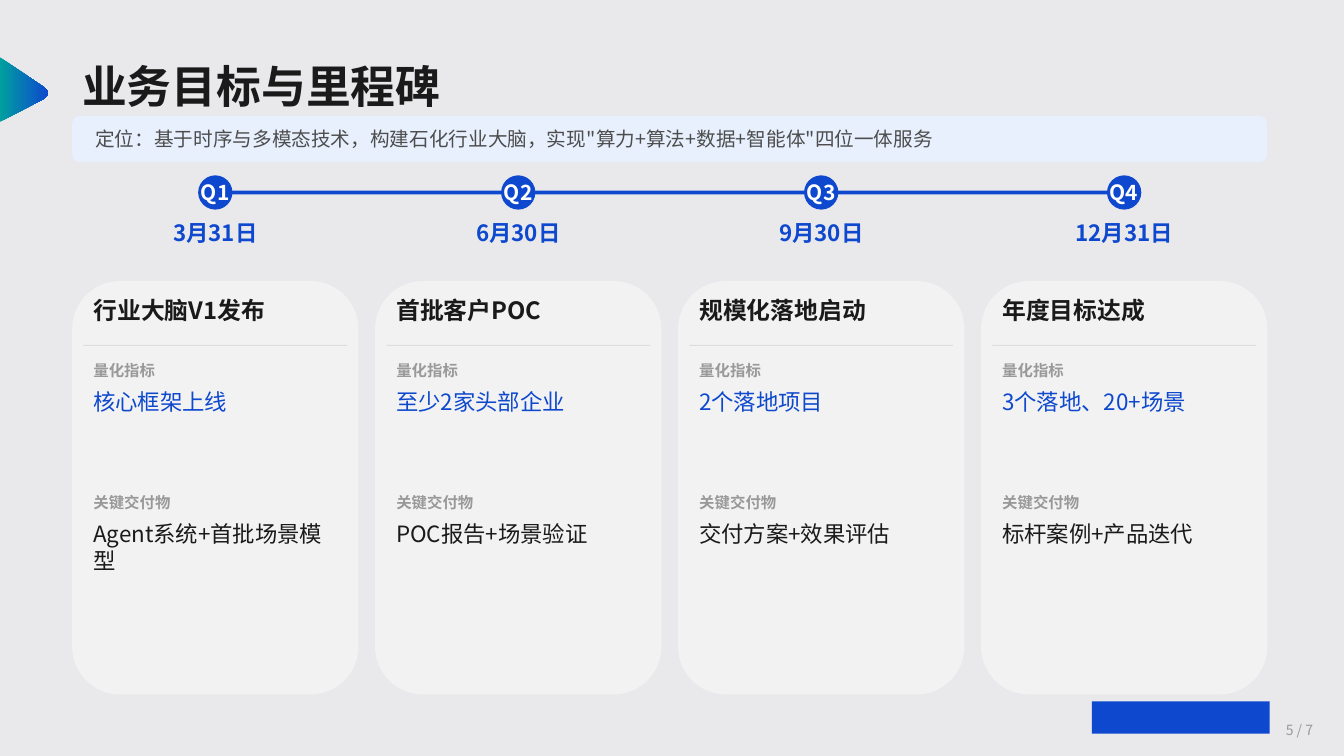
from pptx import Presentation
from pptx.dml.color import RGBColor
from pptx.enum.shapes import MSO_SHAPE
from pptx.enum.text import MSO_ANCHOR, MSO_AUTO_SIZE, PP_ALIGN
from pptx.oxml.ns import qn
from pptx.util import Pt
from lxml import etree

RECT, ROUND_RECT, OVAL = MSO_SHAPE.RECTANGLE, MSO_SHAPE.ROUNDED_RECTANGLE, MSO_SHAPE.OVAL
LEFT, CENTER, RIGHT = PP_ALIGN.LEFT, PP_ALIGN.CENTER, PP_ALIGN.RIGHT
TOP, MIDDLE = MSO_ANCHOR.TOP, MSO_ANCHOR.MIDDLE
GROW = MSO_AUTO_SIZE.SHAPE_TO_FIT_TEXT

BACKGROUND = RGBColor(0xE9, 0xE9, 0xEC)
BLUE = RGBColor(0x0D, 0x48, 0xCE)
TEAL = RGBColor(0x00, 0xA0, 0xA0)
PALE_BLUE = RGBColor(0xE8, 0xF0, 0xFE)
CARD_GRAY = RGBColor(0xF2, 0xF2, 0xF2)
DIVIDER_GRAY = RGBColor(0xDD, 0xDD, 0xDD)
LABEL_GRAY = RGBColor(0x99, 0x99, 0x99)
BODY_GRAY = RGBColor(0x4D, 0x4D, 0x4D)
INK = RGBColor(0x1A, 0x1A, 0x1A)
WHITE = RGBColor(0xFF, 0xFF, 0xFF)
FONT = "Noto Sans CJK SC"

# Column grid, in points
MARGIN = 51.6
CARD_WIDTH = 204.4
CARD_GAP = 12
CARD_INSET = 8
TIMELINE_Y = 137.5
DOT_SIZE = 24.5

MILESTONES = [
    ("Q1", "3月31日", "行业大脑V1发布", "核心框架上线", "Agent系统+首批场景模型"),
    ("Q2", "6月30日", "首批客户POC", "至少2家头部企业", "POC报告+场景验证"),
    ("Q3", "9月30日", "规模化落地启动", "2个落地项目", "交付方案+效果评估"),
    ("Q4", "12月31日", "年度目标达成", "3个落地、20+场景", "标杆案例+产品迭代"),
]


def style_paragraph(paragraph, text, size, color, bold=False, align=LEFT):
    paragraph.text = text
    paragraph.alignment = align
    font = paragraph.font
    font.size, font.bold, font.name = Pt(size), bold, FONT
    font.color.rgb = color
    # Chinese glyphs take their font from the East Asian slot
    defaults = paragraph._p.pPr.find(qn("a:defRPr"))
    etree.SubElement(defaults, qn("a:ea")).set("typeface", FONT)


def add_block(slide, kind, left, top, width, height, color):
    block = slide.shapes.add_shape(kind, Pt(left), Pt(top), Pt(width), Pt(height))
    block.shadow.inherit = False
    block.fill.solid()
    block.fill.fore_color.rgb = color
    block.line.fill.background()
    return block


def add_text(slide, left, top, width, height, text, size, color,
             bold=False, align=LEFT, anchor=TOP, wrap=True):
    box = slide.shapes.add_textbox(Pt(left), Pt(top), Pt(width), Pt(height))
    frame = box.text_frame
    frame.word_wrap, frame.auto_size, frame.vertical_anchor = wrap, GROW, anchor
    style_paragraph(frame.paragraphs[0], text, size, color, bold, align)
    return frame


def add_labelled_text(slide, left, top, width, height, label, text, color):
    frame = add_text(slide, left, top, width, height, label, 11, LABEL_GRAY, bold=True)
    detail = frame.add_paragraph()
    style_paragraph(detail, text, 16, color)
    detail.space_before = Pt(6)


def add_title_marker(slide):
    tip = [(31, 62), (33.5, 64.2), (34.4, 66.3), (33.5, 68.6), (31, 70.8)]
    outline = slide.shapes.build_freeform(Pt(0), Pt(41))
    outline.add_line_segments([(Pt(x), Pt(y)) for x, y in tip + [(0, 87)]])
    marker = outline.convert_to_shape()
    marker.shadow.inherit = False
    marker.line.fill.background()
    marker.fill.gradient()
    marker.fill.gradient_angle = 0
    for stop, color in zip(marker.fill.gradient_stops, (TEAL, BLUE)):
        stop.color.rgb = color


def add_quarter_dot(slide, center, quarter):
    dot = add_block(slide, OVAL, center - DOT_SIZE / 2, TIMELINE_Y - DOT_SIZE / 2,
                    DOT_SIZE, DOT_SIZE, BLUE)
    frame = dot.text_frame
    frame.margin_left = frame.margin_right = frame.margin_top = frame.margin_bottom = 0
    frame.word_wrap, frame.vertical_anchor = False, MIDDLE
    style_paragraph(frame.paragraphs[0], quarter, 15, WHITE, True, CENTER)


def add_milestone(slide, left, quarter, date, goal, metric, deliverable):
    add_quarter_dot(slide, left + CARD_WIDTH / 2, quarter)
    add_text(slide, left, 152.8, CARD_WIDTH, 22.5, date, 16, BLUE, True, CENTER)

    # Card with goal, metric and deliverable
    add_block(slide, ROUND_RECT, left, 200.8, CARD_WIDTH, 295.2, CARD_GRAY)
    inner_left, inner_width = left + CARD_INSET, CARD_WIDTH - 2 * CARD_INSET
    add_text(slide, inner_left, 207.4, inner_width, 35, goal, 17, INK, bold=True)
    add_block(slide, RECT, inner_left, 246.4, inner_width, 0.75, DIVIDER_GRAY)
    add_labelled_text(slide, inner_left, 254.2, inner_width, 55.5, "量化指标", metric, BLUE)
    add_labelled_text(slide, inner_left, 348.5, inner_width, 70.5, "关键交付物", deliverable, INK)


def main():
    deck = Presentation()
    deck.slide_width, deck.slide_height = Pt(960), Pt(540)
    slide = deck.slides.add_slide(deck.slide_layouts[6])
    slide.background.fill.solid()
    slide.background.fill.fore_color.rgb = BACKGROUND

    # Brand placeholder and title
    add_block(slide, RECT, 780, 501, 127, 23, BLUE)
    add_title_marker(slide)
    add_text(slide, MARGIN, 38.2, 440, 46, "业务目标与里程碑", 32, INK, bold=True)

    # Positioning strip
    pitch = CARD_WIDTH + CARD_GAP
    strip_width = 3 * pitch + CARD_WIDTH
    add_block(slide, ROUND_RECT, MARGIN, 82.8, strip_width, 33, PALE_BLUE)
    add_text(slide, 61, 87.1, 835, 24,
             '定位：基于时序与多模态技术，构建石化行业大脑，实现"算力+算法+数据+智能体"四位一体服务',
             14, BODY_GRAY, anchor=MIDDLE)

    # Timeline and milestone columns
    add_block(slide, RECT, MARGIN + CARD_WIDTH / 2, TIMELINE_Y - 1.4, 3 * pitch, 2.8, BLUE)
    for column, milestone in enumerate(MILESTONES):
        add_milestone(slide, MARGIN + column * pitch, *milestone)

    # Page number
    add_text(slide, 882, 512, 63, 19.5, "5 / 7", 10, LABEL_GRAY, align=RIGHT, wrap=False)

    deck.save("out.pptx")


if __name__ == "__main__":
    main()
